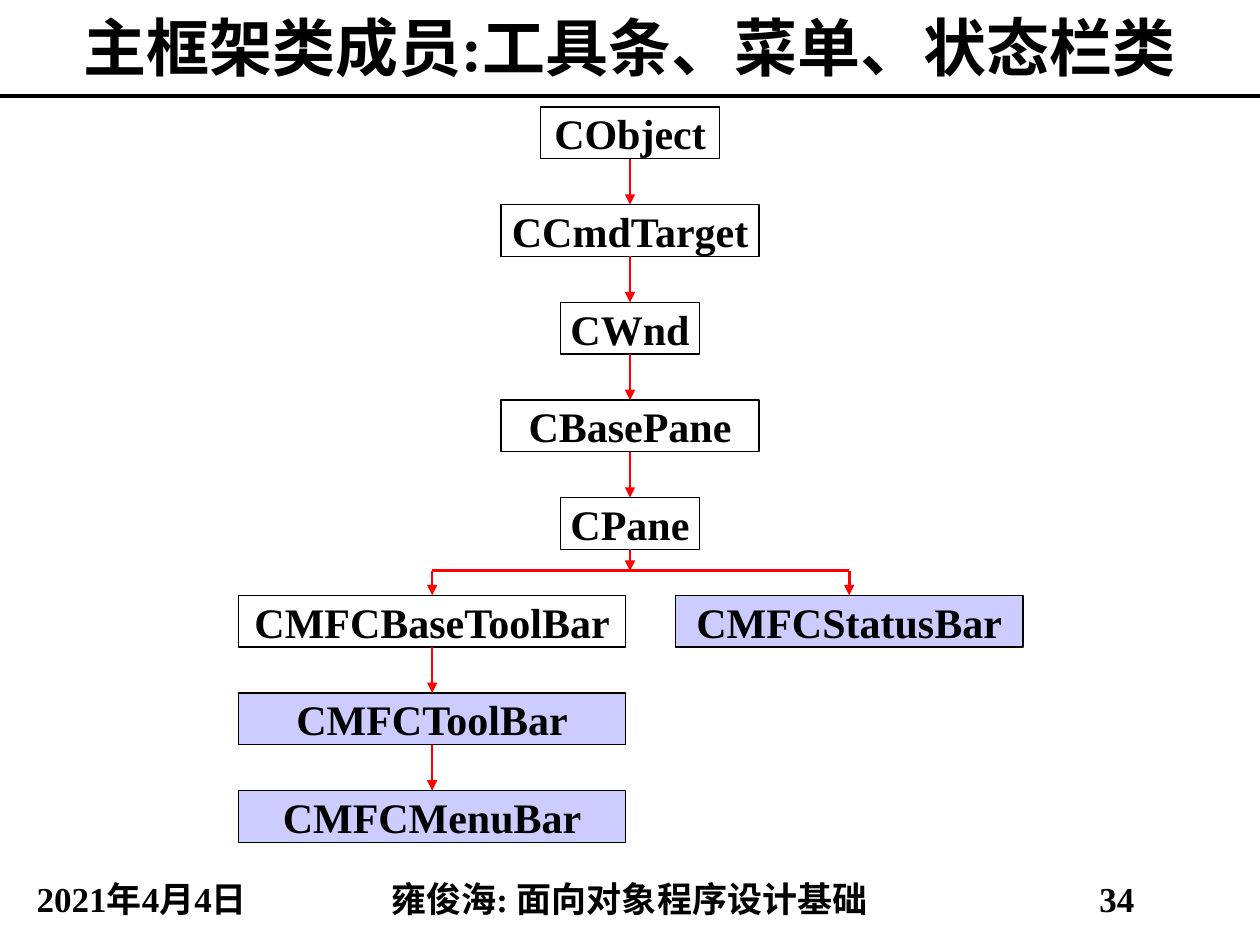
from lxml.etree import SubElement
from pptx import Presentation
from pptx.dml.color import RGBColor
from pptx.enum.shapes import MSO_CONNECTOR, MSO_SHAPE
from pptx.enum.text import MSO_ANCHOR, PP_ALIGN
from pptx.oxml.ns import qn
from pptx.util import Inches, Pt

BLACK = RGBColor(0x00, 0x00, 0x00)
RED = RGBColor(0xFF, 0x00, 0x00)
LAVENDER = RGBColor(0xCC, 0xCC, 0xFF)
FONT = "Times New Roman"

TITLE = "主框架类成员:工具条、菜单、状态栏类"
FOOTERS = [
    ("2021年4月4日", 0, 2.25),
    ("雍俊海: 面向对象程序设计基础", 2.25, 5.49),
    ("34", 7.74, 2.25),
]

TRUNK_X, TOOLBAR_X, STATUS_X = 5, 3.43, 6.74
CLASSES = [
    ("CObject", TRUNK_X, 0, 1.42, None),
    ("CCmdTarget", TRUNK_X, 1, 2.05, None),
    ("CWnd", TRUNK_X, 2, 1.1, None),
    ("CBasePane", TRUNK_X, 3, 2.05, None),
    ("CPane", TRUNK_X, 4, 1.1, None),
    ("CMFCBaseToolBar", TOOLBAR_X, 5, 3.07, None),
    ("CMFCToolBar", TOOLBAR_X, 6, 3.07, LAVENDER),
    ("CMFCMenuBar", TOOLBAR_X, 7, 3.07, LAVENDER),
    ("CMFCStatusBar", STATUS_X, 5, 2.76, LAVENDER),
]
DIRECT_LINKS = [(TRUNK_X, row) for row in range(4)] + [(TOOLBAR_X, 5), (TOOLBAR_X, 6)]

FIRST_TOP = 0.85
ROW_PITCH = 4.65 / 6
BOX_HEIGHT = 0.41
FORK_Y = 4.53


def row_top(row):
    return FIRST_TOP + row * ROW_PITCH


def write(shape, text, size, spacing=None):
    frame = shape.text_frame
    frame.text = text
    frame.word_wrap = True
    frame.vertical_anchor = MSO_ANCHOR.MIDDLE
    paragraph = frame.paragraphs[0]
    paragraph.alignment = PP_ALIGN.CENTER
    if spacing:
        paragraph.line_spacing = spacing
    font = paragraph.runs[0].font
    font.name, font.size, font.bold = FONT, Pt(size), True
    font.color.rgb = BLACK


def add_label(slide, text, left, top, width, height, size, spacing=None):
    label = slide.shapes.add_textbox(*map(Inches, (left, top, width, height)))
    write(label, text, size, spacing)


def add_class(slide, name, center, row, width, fill):
    box = slide.shapes.add_shape(
        MSO_SHAPE.RECTANGLE,
        *map(Inches, (center - width / 2, row_top(row), width, BOX_HEIGHT)),
    )
    box.shadow.inherit = False
    if fill is None:
        box.fill.background()
    else:
        box.fill.solid()
        box.fill.fore_color.rgb = fill
    box.line.color.rgb = BLACK
    box.line.width = Pt(0.75)
    write(box, name, 24)
    frame = box.text_frame
    frame.margin_left = frame.margin_right = Inches(0.04)
    frame.margin_top = frame.margin_bottom = 0
    frame.word_wrap = False


def add_line(slide, x1, y1, x2, y2, color=RED, width=1.5, arrow=False):
    line = slide.shapes.add_connector(
        MSO_CONNECTOR.STRAIGHT, *map(Inches, (x1, y1, x2, y2))
    )
    line.line.color.rgb = color
    line.line.width = Pt(width)
    if arrow:
        SubElement(line.line._get_or_add_ln(), qn("a:tailEnd"), type="triangle")
    SubElement(line._element.spPr, qn("a:effectLst"))


def main():
    deck = Presentation()
    deck.slide_width, deck.slide_height = Inches(10), Inches(7.5)
    slide = deck.slides.add_slide(deck.slide_layouts[6])

    add_label(slide, TITLE, 0, 0, 10, 0.74, 36)
    add_line(slide, 0, 0.76, 10, 0.76, BLACK, 2.25)
    for text, left, width in FOOTERS:
        add_label(slide, text, left, 6.95, width, 0.4, 20, 0.9)

    for entry in CLASSES:
        add_class(slide, *entry)

    for x, row in DIRECT_LINKS:
        add_line(slide, x, row_top(row) + BOX_HEIGHT, x, row_top(row + 1), arrow=True)
    add_line(slide, TRUNK_X, row_top(4) + BOX_HEIGHT, TRUNK_X, FORK_Y, arrow=True)
    add_line(slide, TOOLBAR_X, FORK_Y, STATUS_X, FORK_Y)
    for x in (TOOLBAR_X, STATUS_X):
        add_line(slide, x, FORK_Y, x, row_top(5), arrow=True)

    deck.save("out.pptx")


if __name__ == "__main__":
    main()
